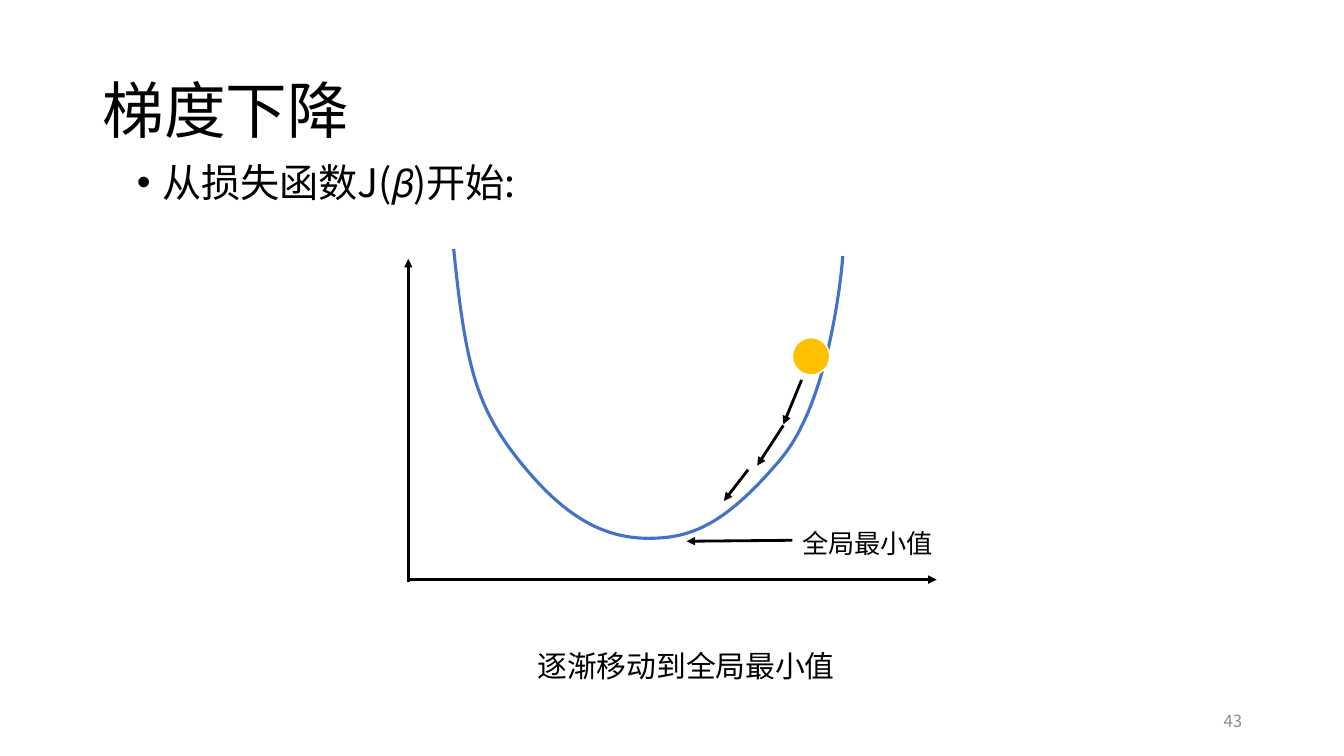
from lxml import etree
from pptx import Presentation
from pptx.dml.color import RGBColor
from pptx.enum.shapes import MSO_CONNECTOR, MSO_SHAPE
from pptx.enum.text import MSO_ANCHOR, PP_ALIGN
from pptx.oxml.ns import qn
from pptx.util import Pt

SCALE = 9144
BLACK = RGBColor(0x00, 0x00, 0x00)
WHITE = RGBColor(0xFF, 0xFF, 0xFF)
GREY = RGBColor(0x8C, 0x8C, 0x8C)
BLUE = RGBColor(0x44, 0x72, 0xC4)
GOLD = RGBColor(0xFF, 0xC0, 0x00)
SANS = "Noto Sans CJK SC"
ARIAL = "Arial"
LEFT, CENTER, RIGHT = PP_ALIGN.LEFT, PP_ALIGN.CENTER, PP_ALIGN.RIGHT
TOP, MIDDLE = MSO_ANCHOR.TOP, MSO_ANCHOR.MIDDLE
STRAIGHT = MSO_CONNECTOR.STRAIGHT
OVAL = MSO_SHAPE.OVAL
CURVE_STEPS = 24


def px(value):
    return round(value * SCALE)


def bezier_point(points, t):
    weights = ((1 - t) ** 3, 3 * t * (1 - t) ** 2, 3 * t ** 2 * (1 - t), t ** 3)
    return tuple(px(sum(w * p[axis] for w, p in zip(weights, points))) for axis in (0, 1))


class SlideBuilder:
    def __init__(self, slide):
        self.slide = slide
        self.color = BLACK
        self.line_width = Pt(2)

    def text(self, box, text, size, font=SANS, color=None, align=LEFT, anchor=MIDDLE,
             inset=True, spacing=None, bullet=False):
        shape = self.slide.shapes.add_textbox(*map(px, box))
        frame = shape.text_frame
        frame.word_wrap = True
        frame.vertical_anchor = anchor
        if not inset:
            frame.margin_left = frame.margin_right = 0
            frame.margin_top = frame.margin_bottom = 0
        frame.text = text
        paragraph = frame.paragraphs[0]
        paragraph.alignment = align
        if spacing:
            paragraph.line_spacing = spacing
        if bullet:
            properties = paragraph._p.get_or_add_pPr()
            properties.set("marL", str(px(25)))
            properties.set("indent", str(px(-25)))
            etree.SubElement(properties, qn("a:buFont"), typeface=ARIAL)
            etree.SubElement(properties, qn("a:buChar"), char="•")
        for run in paragraph.runs:
            run.font.size = Pt(size)
            run.font.name = font
            run.font.color.rgb = color or self.color
            etree.SubElement(run._r.get_or_add_rPr(), qn("a:ea"), typeface=SANS)

    def arrow(self, start, end):
        connector = self.slide.shapes.add_connector(STRAIGHT, *map(px, start + end))
        connector.line.color.rgb = self.color
        connector.line.width = self.line_width
        etree.SubElement(connector.line._get_or_add_ln(), qn("a:tailEnd"), type="triangle")
        etree.SubElement(connector._element.spPr, qn("a:effectLst"))

    def curve(self, start, segments, color, width):
        builder = self.slide.shapes.build_freeform(*map(px, start), scale=1.0)
        points = []
        for segment in segments:
            controls = (start,) + segment
            points += [bezier_point(controls, step / CURVE_STEPS)
                       for step in range(1, CURVE_STEPS + 1)]
            start = segment[-1]
        builder.add_line_segments(points, close=False)
        shape = builder.convert_to_shape()
        shape.shadow.inherit = False
        shape.fill.background()
        shape.line.color.rgb = color
        shape.line.width = Pt(width)

    def ball(self, box, fill, outline):
        shape = self.slide.shapes.add_shape(OVAL, *map(px, box))
        shape.shadow.inherit = False
        shape.fill.solid()
        shape.fill.fore_color.rgb = fill
        shape.line.color.rgb = outline
        shape.line.width = Pt(1)


def main():
    presentation = Presentation()
    presentation.slide_width = px(1333)
    presentation.slide_height = px(750)
    builder = SlideBuilder(presentation.slides.add_slide(presentation.slide_layouts[6]))

    builder.text((942, 695, 300, 40), "43", 12, color=GREY, align=RIGHT)
    builder.text((92, 40, 1150, 145), "梯度下降", 44, spacing=0.9)
    builder.text((126, 157, 1174, 75), "从损失函数J(𝛽)开始:", 28, anchor=TOP,
                 spacing=0.9, bullet=True)

    for start, end in (((405, 577), (405, 257)), ((405, 575), (929, 575))):
        builder.arrow(start, end)

    loss_segments = (
        ((462, 364), (472, 405), (519, 462)),
        ((566, 519), (605, 535), (648, 534)),
        ((690, 533), (723, 516), (774, 456)),
        ((826, 395), (836, 254), (836, 254)),
    )
    builder.curve((450, 247), loss_segments, BLUE, 2.25)
    builder.ball((786, 335, 37, 37), GOLD, WHITE)

    builder.text((180, 642, 1001, 36), "逐渐移动到全局最小值", 21.3, font=ARIAL,
                 align=CENTER, inset=False)
    descent_steps = (
        ((795, 377), (777, 421)),
        ((777, 422), (751, 462)),
        ((742, 466), (718, 497)),
    )
    for start, end in descent_steps:
        builder.arrow(start, end)

    builder.text((709, 504, 303, 47), "全局最小值", 18.7, font=ARIAL, align=CENTER,
                 inset=False, spacing=Pt(38))
    builder.arrow((786, 536), (681, 537))

    presentation.save("out.pptx")


if __name__ == "__main__":
    main()
